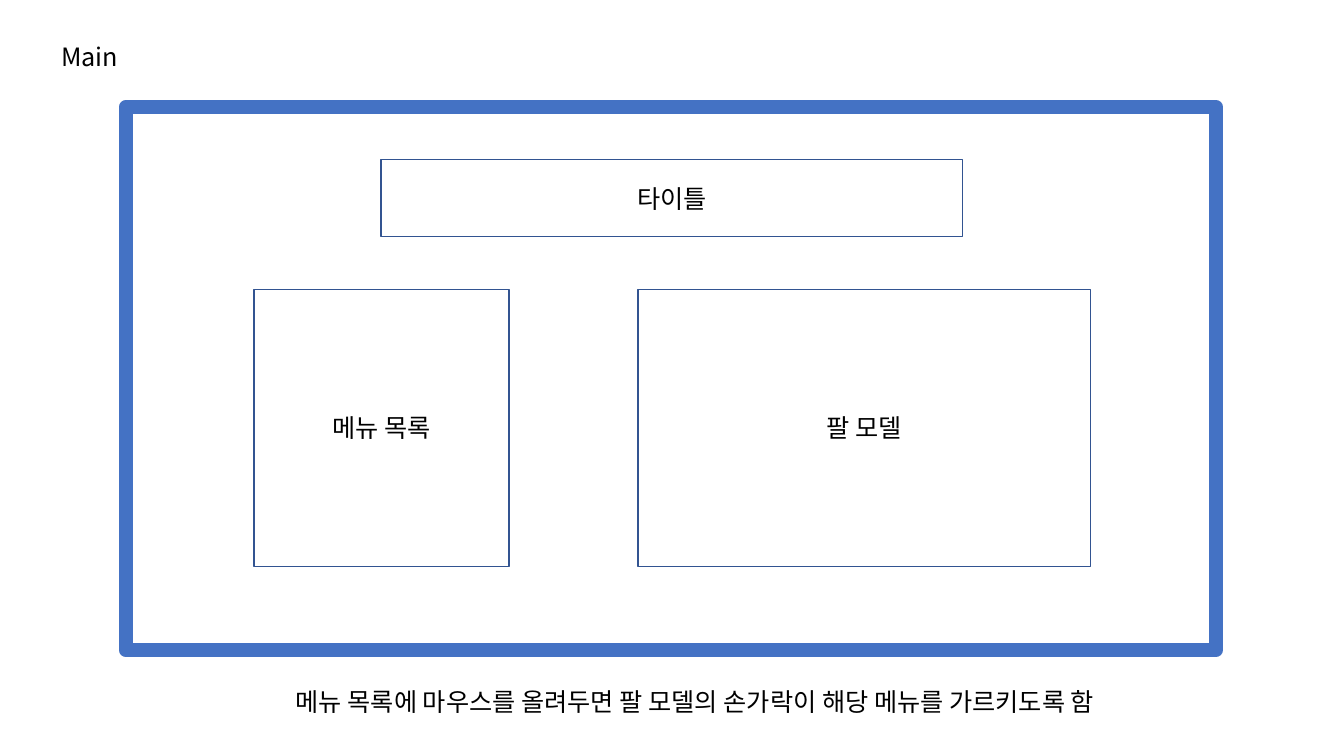
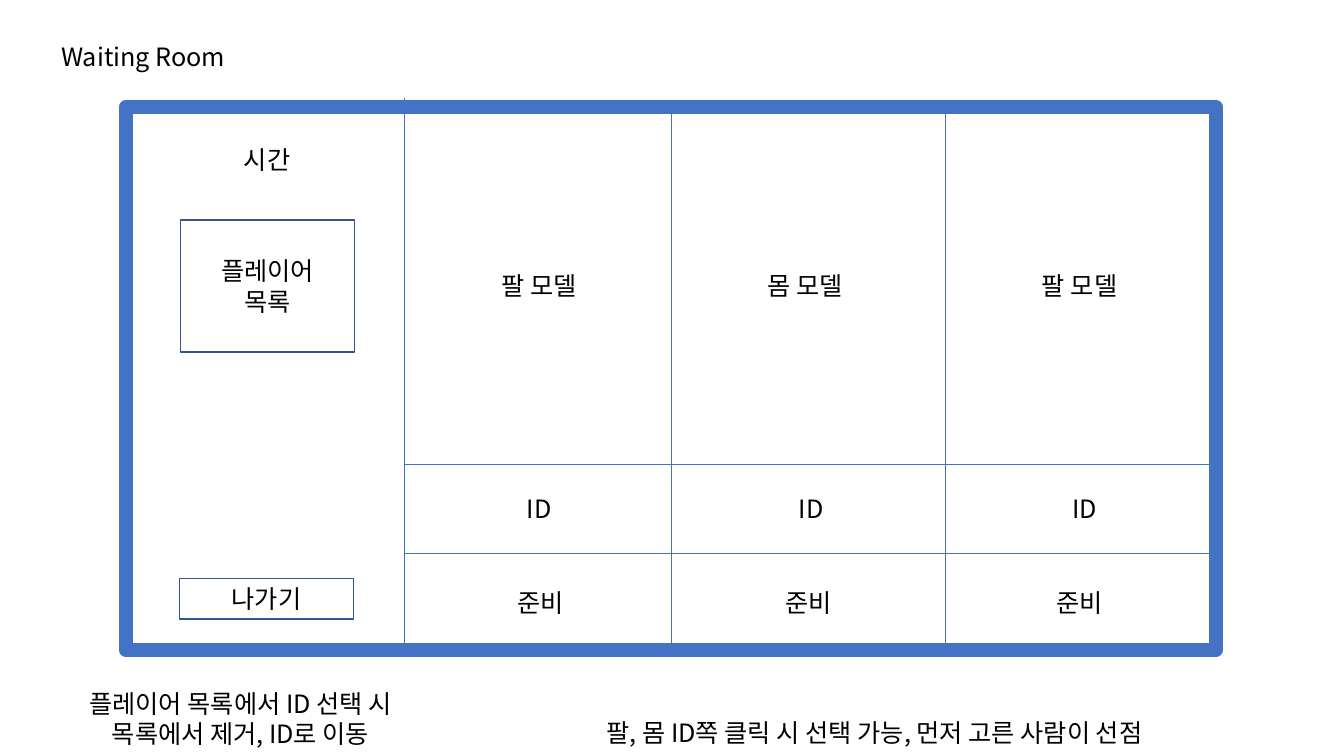
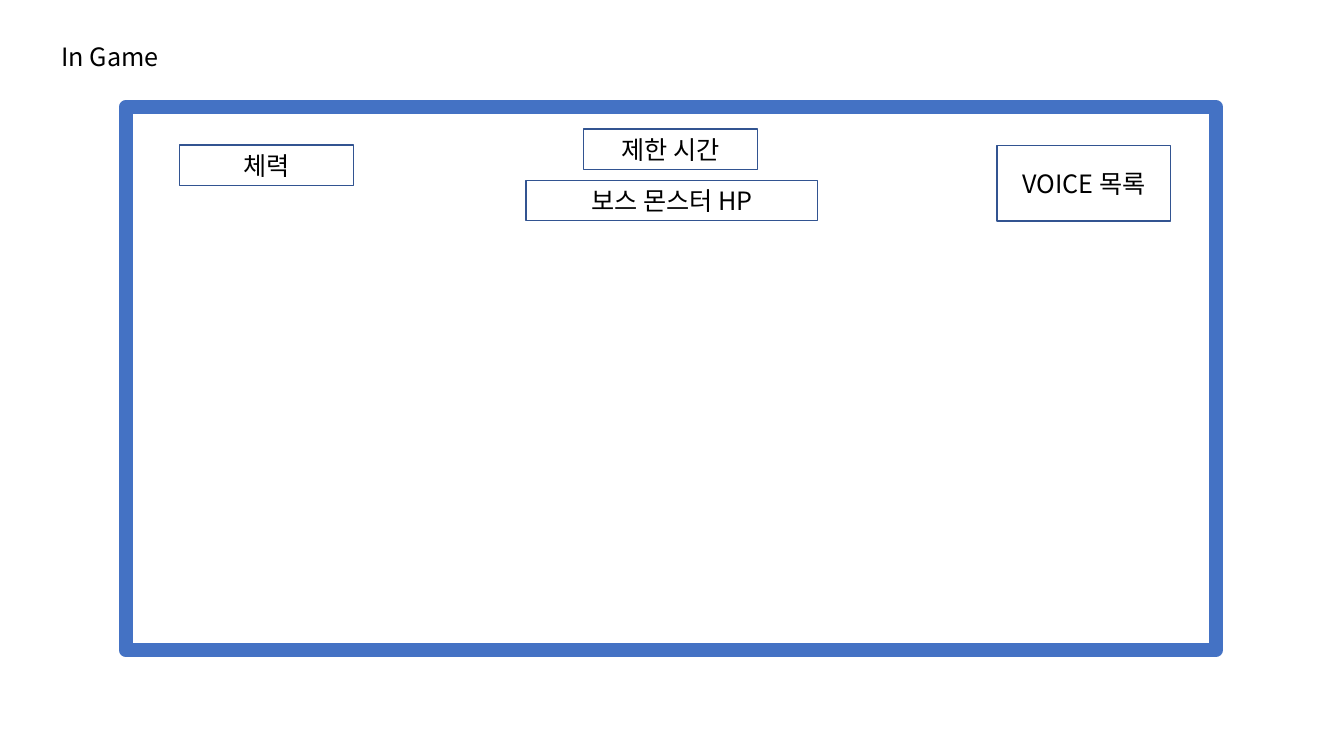
"""Builds three wireframe slides for a co-op game: main menu, waiting room and play screen."""
from lxml import etree
from pptx import Presentation
from pptx.dml.color import RGBColor
from pptx.enum import shapes, text
from pptx.oxml.ns import qn
from pptx.util import Pt

BLACK = RGBColor(0x00, 0x00, 0x00)
WHITE = RGBColor(0xFF, 0xFF, 0xFF)
BLUE = RGBColor(0x44, 0x72, 0xC4)
NAVY = RGBColor(0x32, 0x54, 0x91)
FONT = "Noto Sans CJK KR"
CENTER = text.PP_ALIGN.CENTER
LEFT = text.PP_ALIGN.LEFT
LABEL_W, LINE_H = 184.3, 28.8
BUTTON_W = 124.2


def write(tf, content, size=18, color=BLACK, align=CENTER):
    tf.word_wrap = True
    for i, line in enumerate(content.split("\n")):
        p = tf.paragraphs[0] if i == 0 else tf.add_paragraph()
        p.alignment = align
        r = p.add_run()
        r.text = line
        r.font.size = Pt(size)
        r.font.name = FONT
        r.font.color.rgb = color
        ea = etree.SubElement(r._r.get_or_add_rPr(), qn("a:ea"))
        ea.set("typeface", FONT)


class Wireframe:
    def __init__(self):
        self.prs = Presentation()
        self.prs.slide_width, self.prs.slide_height = Pt(960), Pt(540)
        self.s = None

    def screen(self, title):
        self.s = self.prs.slides.add_slide(self.prs.slide_layouts[6])
        frame = self.rect(90, 76.3, 778.4, 388.2, line=BLUE, weight=10)
        self.label(title, 36.7, 25.9, align=LEFT)
        return frame

    def rect(self, x, y, w, h, line=NAVY, weight=1):
        sp = self.s.shapes.add_shape(
            shapes.MSO_SHAPE.RECTANGLE, Pt(x), Pt(y), Pt(w), Pt(h))
        sp.shadow.inherit = False
        sp.fill.solid()
        sp.fill.fore_color.rgb = WHITE
        sp.line.color.rgb = line
        sp.line.width = Pt(weight)
        return sp

    def box(self, content, x, y, w=BUTTON_W, h=LINE_H):
        tf = self.rect(x, y, w, h).text_frame
        tf.vertical_anchor = text.MSO_ANCHOR.MIDDLE
        write(tf, content)

    def label(self, content, x, y, w=LABEL_W, h=LINE_H, align=CENTER):
        tf = self.s.shapes.add_textbox(Pt(x), Pt(y), Pt(w), Pt(h)).text_frame
        write(tf, content, align=align)
        tf.auto_size = text.MSO_AUTO_SIZE.SHAPE_TO_FIT_TEXT

    def line(self, x1, y1, x2, y2):
        cx = self.s.shapes.add_connector(
            shapes.MSO_CONNECTOR.STRAIGHT, Pt(x1), Pt(y1), Pt(x2), Pt(y2))
        cx.line.color.rgb = BLUE
        cx.line.width = Pt(0.5)
        etree.SubElement(cx.line._get_or_add_ln().getparent(), qn("a:effectLst"))
        return cx


def main_screen(d):
    d.screen("Main")
    d.label("메뉴 목록에 마우스를 올려두면 팔 모델의 손가락이 해당 메뉴를 가르키도록 함",
            144.7, 486.7, w=703.4)
    d.box("타이틀", 272.2, 113.8, 415.4, 55.4)
    d.box("메뉴 목록", 181.4, 206.6, 182.2, 198)
    d.box("팔 모델", 455.8, 206.6, 323.3, 198)


def waiting_room(d):
    frame = d.screen("Waiting Room")
    middle = d.line(479.2, 76.3, 479.2, 464.5)
    middle.begin_connect(frame, 0)
    middle.end_connect(frame, 2)
    d.line(675.4, 72.7, 675.4, 467.3)
    d.line(288.7, 69.8, 288.7, 464.4)
    for y in (331.9, 395.3):
        d.line(288.7, y, 866.2, y)

    rows = [
        (189.4, ("팔 모델", "몸 모델", "팔 모델"), (293, 483.1, 679)),
        (348.5, ("ID",) * 3, (293, 487.4, 682.6)),
        (416, ("준비",) * 3, (293.8, 485.3, 679)),
    ]
    for y, names, lefts in rows:
        for name, x in zip(names, lefts):
            d.label(name, x, y)

    d.label("시간", 98.6, 99.4)
    d.box("플레이어\n목록", 128.9, 157, h=94.3)
    d.box("나가기", 128.2, 413.3)
    d.label("플레이어 목록에서 ID 선택 시 목록에서 제거, ID로 이동",
            49, 488.2, w=245.5, h=51.1)
    d.label("팔, 몸 ID쪽 클릭 시 선택 가능, 먼저 고른 사람이 선점",
            364.3, 509, w=520.6)


def in_game(d):
    d.screen("In Game")
    d.box("체력", 128.2, 103.7)
    d.box("VOICE 목록", 712.1, 103.9, h=54)
    d.box("제한 시간", 416.9, 92.2)
    d.box("보스 몬스터 HP", 375.8, 128.9, w=208.1)


def main():
    d = Wireframe()
    main_screen(d)
    waiting_room(d)
    in_game(d)
    d.prs.save("out.pptx")


if __name__ == "__main__":
    main()
